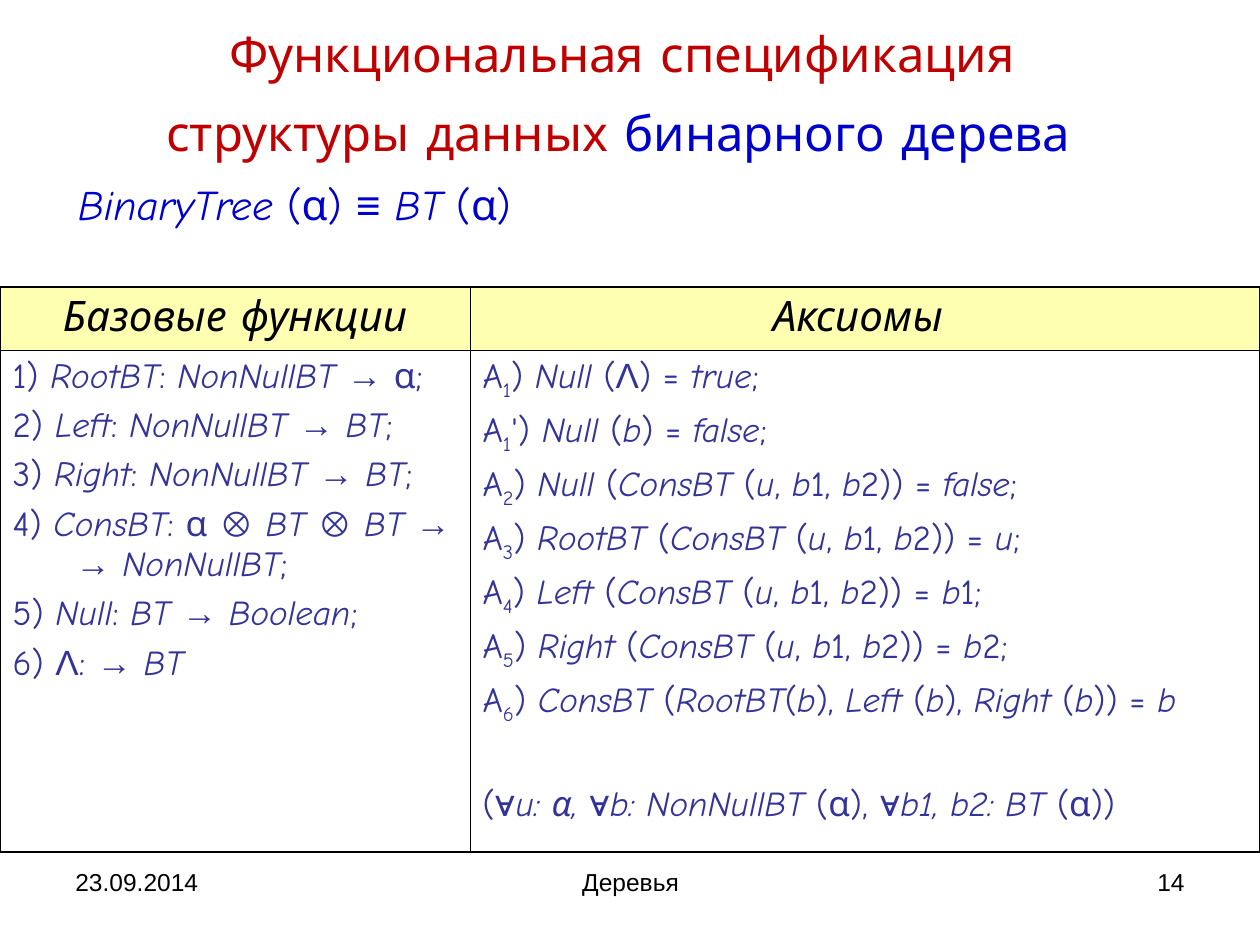
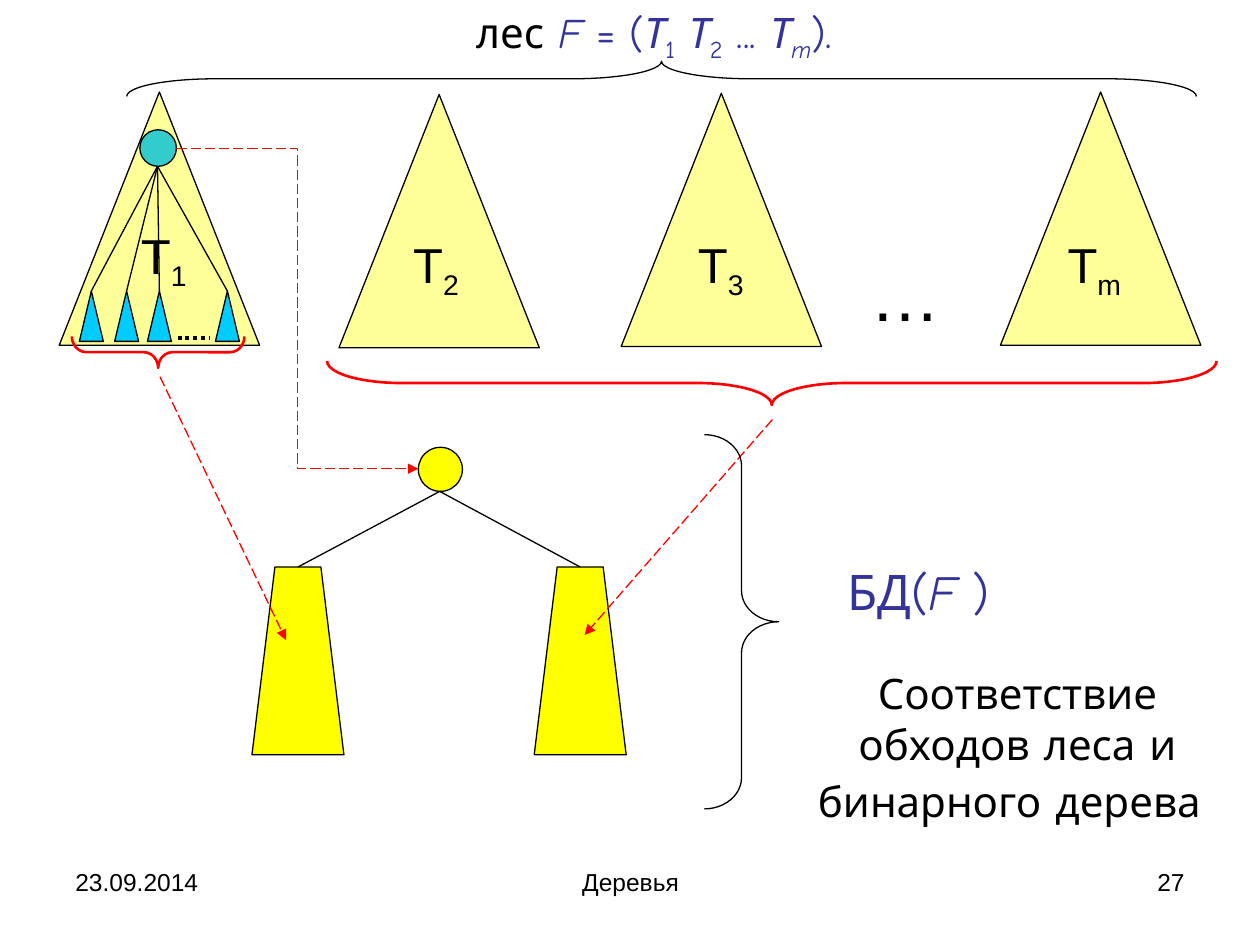
"""Builds two slides on binary trees: a specification table and a forest diagram."""
import itertools
from typing import NamedTuple, Optional

import lxml.etree
import pptx
import pptx.dml.color
import pptx.enum.dml
import pptx.enum.shapes
import pptx.enum.text
import pptx.oxml.ns
import pptx.util

SLIDE_WIDTH = pptx.util.Inches(10)
SLIDE_HEIGHT = pptx.util.Inches(7.5)
COLUMN = SLIDE_WIDTH // 100
ROW = SLIDE_HEIGHT // 75

COLORS = {
    "black": "000000", "title": "C00000", "accent": "0000CC", "formula": "333399",
    "header": "FFFF66", "tree": "FFFF99", "root": "33CCCC", "subtree": "00CCFF",
    "binary": "FFFF00", "link": "FF0000",
}
TEXT_FONT = "Comic Neue"
PLAIN_FONT = "Arial"
SYMBOLS = "→⊗Λ∀≡"
ITALIC_MARK, SUBSCRIPT_MARK = "*", "_"

SHAPES = pptx.enum.shapes.MSO_SHAPE
CONNECTORS = pptx.enum.shapes.MSO_CONNECTOR
DASHES = pptx.enum.dml.MSO_LINE
ALIGN = pptx.enum.text.PP_ALIGN
ANCHOR = pptx.enum.text.MSO_ANCHOR


class Frame(NamedTuple):
    """Place of an element in grid columns and rows."""
    left: float
    top: float
    width: float
    height: float

    def lengths(self) -> tuple[int, int, int, int]:
        """Return the frame in slide units."""
        return (round(self.left * COLUMN), round(self.top * ROW),
                round(self.width * COLUMN), round(self.height * ROW))


class Span(NamedTuple):
    """Marked-up text with one size, colour and font."""
    text: str
    size: float
    color: str
    font: str = TEXT_FONT


class Tree(NamedTuple):
    """A tree of the forest and the place of its label."""
    left: float
    top: float
    index: str
    label: Frame


class Brace(NamedTuple):
    """A right brace turned by an angle."""
    frame: Frame
    rotation: int
    color: str
    weight: float


class Link(NamedTuple):
    """A connector between two grid points."""
    start: tuple[float, float]
    end: tuple[float, float]
    color: str = "black"
    weight: float = 0.75
    dash: Optional[DASHES] = None
    arrow: bool = False
    kind: CONNECTORS = CONNECTORS.STRAIGHT


FOOTERS = [
    (Frame(5, 68.3, 23.3, 5.2), "23.09.2014", ALIGN.LEFT),
    (Frame(34.2, 68.3, 31.7, 5.2), "Деревья", ALIGN.CENTER),
]
NUMBER_FRAME = Frame(71.7, 68.3, 23.3, 5.2)

BASE_FUNCTIONS = [
    "1) *RootBT*: *NonNullBT* → α;",
    "2) *Left*: *NonNullBT* → *BT*;",
    "3) *Right*: *NonNullBT* → *BT*;",
    "4) *ConsBT*: α ⊗ *BT* ⊗ *BT* →\n\t→ *NonNullBT*;",
    "5) *Null*: *BT* → *Boolean*;",
    "6) Λ: → *BT*",
]
CONS = "(*ConsBT* (*u*, *b*1, *b*2)) ="
AXIOMS = [
    "A_1_) *Null* (Λ) = *true*;",
    "A_1_') *Null* (*b*) = *false*;",
    f"A_2_) *Null* {CONS} *false*;",
    f"A_3_) *RootBT* {CONS} *u*;",
    f"A_4_) *Left* {CONS} *b*1;",
    f"A_5_) *Right* {CONS} *b*2;",
    "A_6_) *ConsBT* (*RootBT*(*b*), *Left* (*b*), *Right* (*b*)) = *b*",
    "(∀*u: α, *∀*b: NonNullBT *(α), ∀*b1, b2: BT *(α))",
]

TREE_WIDTH, TREE_HEIGHT = 15.9, 20.1
TREES = [
    Tree(4.7, 7.3, "1", Frame(9.8, 17.4, 6.4, 6.3)),
    Tree(26.9, 7.5, "2", Frame(31.4, 18.1, 6.4, 6.3)),
    Tree(49.3, 7.4, "3", Frame(54, 18.1, 6.4, 6.3)),
    Tree(79.4, 7.3, "m", Frame(83, 18.1, 7.7, 6.3)),
]
SUBTREE_LEFTS = [6.3, 9.1, 11.7, 17.1]
SUBTREE_TOP, SUBTREE_WIDTH, SUBTREE_HEIGHT = 23.1, 1.9, 4
FOREST_ROOT = Frame(11.1, 10.3, 2.9, 2.9)
BINARY_ROOT = Frame(33.2, 35.5, 3.5, 3.5)
BINARY_SUBTREES = [Frame(20, 45, 7.3, 14.9), Frame(42.4, 45, 7.3, 14.9)]
BRACES = [
    Brace(Frame(11.3, 21.1, 2.5, 13.7), 90, "link", 1.5),
    Brace(Frame(59.5, -4.9, 3.5, 70.6), 90, "link", 1.5),
    Brace(Frame(51.1, -36.2, 2.8, 84.9), 270, "black", 0.75),
    Brace(Frame(55.9, 34.5, 5.9, 29.7), 0, "black", 0.75),
]


def rgb(color: str) -> pptx.dml.color.RGBColor:
    """Look up a named colour."""
    return pptx.dml.color.RGBColor.from_string(COLORS[color])


def add_span(paragraph, span: Span) -> None:
    """Add the runs of a marked-up span to a paragraph."""
    italic = subscript = False
    styled = []
    for letter in span.text:
        if letter == ITALIC_MARK:
            italic = not italic
        elif letter == SUBSCRIPT_MARK:
            subscript = not subscript
        else:
            styled.append((letter, (italic, subscript, letter in SYMBOLS, letter == "\n")))
    for style, group in itertools.groupby(styled, key=lambda item: item[1]):
        run_italic, run_subscript, symbol, line_break = style
        if line_break:
            paragraph.add_line_break()
            continue
        run = paragraph.add_run()
        run.text = "".join(letter for letter, _ in group)
        run.font.size = pptx.util.Pt(span.size)
        run.font.name = PLAIN_FONT if symbol else span.font
        run.font.italic = run_italic
        run.font.color.rgb = rgb(span.color)
        if run_subscript:
            run.font._element.set("baseline", "-25000")


def fill_text(text_frame, paragraphs: list[list[Span]], alignment=ALIGN.LEFT) -> None:
    """Write paragraphs of spans into a text frame."""
    for index, spans in enumerate(paragraphs):
        paragraph = text_frame.add_paragraph() if index else text_frame.paragraphs[0]
        paragraph.alignment = alignment
        if index:
            paragraph.space_before = pptx.util.Pt(5)
        for span in spans:
            add_span(paragraph, span)


def add_text(slide, frame: Frame, spans: list[Span], alignment=ALIGN.CENTER, anchor=ANCHOR.TOP) -> None:
    """Add a wrapped text box with one paragraph."""
    text_frame = slide.shapes.add_textbox(*frame.lengths()).text_frame
    text_frame.word_wrap = True
    text_frame.vertical_anchor = anchor
    fill_text(text_frame, [spans], alignment)


def add_figure(slide, kind: SHAPES, frame: Frame, fill: Optional[str], line: str = "black", weight: float = 0.75):
    """Add an outlined preset shape."""
    shape = slide.shapes.add_shape(kind, *frame.lengths())
    shape.shadow.inherit = False
    if fill:
        shape.fill.solid()
        shape.fill.fore_color.rgb = rgb(fill)
    else:
        shape.fill.background()
    shape.line.color.rgb = rgb(line)
    shape.line.width = pptx.util.Pt(weight)
    return shape


def add_brace(slide, brace: Brace) -> None:
    """Add a brace whose curves take a twelfth of its length."""
    shape = add_figure(slide, SHAPES.RIGHT_BRACE, brace.frame, None, brace.color, brace.weight)
    shape.adjustments[0] = brace.frame.height / 12 / brace.frame.width
    shape.rotation = brace.rotation


def add_link(slide, link: Link) -> None:
    """Add a connector, dashed or with an arrowhead if asked."""
    (start_x, start_y), (end_x, end_y) = link.start, link.end
    connector = slide.shapes.add_connector(
        link.kind, round(start_x * COLUMN), round(start_y * ROW), round(end_x * COLUMN), round(end_y * ROW))
    connector.line.color.rgb = rgb(link.color)
    connector.line.width = pptx.util.Pt(link.weight)
    if link.dash:
        connector.line.dash_style = link.dash
    properties = connector._element.spPr
    if link.arrow:
        outline = properties.find(pptx.oxml.ns.qn("a:ln"))
        lxml.etree.SubElement(outline, pptx.oxml.ns.qn("a:tailEnd"), type="triangle")
    lxml.etree.SubElement(properties, pptx.oxml.ns.qn("a:effectLst"))


def set_borders(cell, outer_sides: str) -> None:
    """Draw cell borders, thicker on the outer sides."""
    properties = cell._tc.get_or_add_tcPr()
    for side in "LRTB":
        width = pptx.util.Pt(1.08 if side in outer_sides else 0.45)
        border = lxml.etree.SubElement(properties, pptx.oxml.ns.qn(f"a:ln{side}"), w=str(int(width)))
        solid = lxml.etree.SubElement(border, pptx.oxml.ns.qn("a:solidFill"))
        lxml.etree.SubElement(solid, pptx.oxml.ns.qn("a:srgbClr"), val=COLORS["black"])


def add_slide(presentation, number: str):
    """Add a blank slide with the shared footer."""
    slide = presentation.slides.add_slide(presentation.slide_layouts[6])
    for frame, text, alignment in [*FOOTERS, (NUMBER_FRAME, number, ALIGN.RIGHT)]:
        add_text(slide, frame, [Span(text, 14, "black", PLAIN_FONT)], alignment)
    return slide


def add_specification_table(slide) -> None:
    """Add the table of base functions and axioms."""
    table = slide.shapes.add_table(2, 2, *Frame(0, 22.8, 100, 44.8).lengths()).table
    table.first_row = table.horz_banding = False
    for column, width in zip(table.columns, (37.3, 62.7)):
        column.width = round(width * COLUMN)
    for row, height in zip(table.rows, (5, 39.8)):
        row.height = round(height * ROW)
    contents = [("Базовые функции", BASE_FUNCTIONS, "L"), ("Аксиомы ", AXIOMS, "R")]
    for index, (heading, lines, side) in enumerate(contents):
        header, body = table.cell(0, index), table.cell(1, index)
        set_borders(header, side + "T")
        header.fill.solid()
        header.fill.fore_color.rgb = rgb("header")
        fill_color = header._tc.tcPr.find(pptx.oxml.ns.qn("a:solidFill"))[0]
        lxml.etree.SubElement(fill_color, pptx.oxml.ns.qn("a:alpha"), val="50000")
        fill_text(header.text_frame, [[Span(f"*{heading}*", 24, "black")]], ALIGN.CENTER)
        set_borders(body, side + "B")
        body.fill.background()
        fill_text(body.text_frame, [[Span(line, 20, "formula")] for line in lines])
    table.cell(1, 1).text_frame.paragraphs[-1].space_before = pptx.util.Pt(33)


def build_specification(presentation) -> None:
    """Build the slide with the functional specification."""
    slide = add_slide(presentation, "14")
    add_text(slide, Frame(5, 1.8, 90, 11.4), [
        Span("Функциональная спецификация \nструктуры данных ", 28, "title"),
        Span("бинарного дерева", 28, "accent"), Span(" ", 40, "accent")], anchor=ANCHOR.MIDDLE)
    add_text(slide, Frame(5.2, 13.7, 93, 6.7),
             [Span("*BinaryTree* (α) ≡ *BT* (α)", 24, "accent")], ALIGN.LEFT)
    add_specification_table(slide)


def build_forest(presentation) -> None:
    """Build the slide that maps a forest to a binary tree."""
    slide = add_slide(presentation, "27")
    for tree in TREES:
        add_figure(slide, SHAPES.ISOSCELES_TRIANGLE, Frame(tree.left, tree.top, TREE_WIDTH, TREE_HEIGHT), "tree")
        add_text(slide, tree.label, [Span(f"Т_{tree.index}_", 28, "black", PLAIN_FONT)])
    add_text(slide, Frame(66.3, 19.5, 11.2, 7.7), [Span("…", 40, "black", PLAIN_FONT)])

    add_figure(slide, SHAPES.OVAL, FOREST_ROOT, "root")
    links = [Link((14.1, 26.8), (16.7, 26.8), weight=2.25, dash=DASHES.ROUND_DOT)]
    for left in SUBTREE_LEFTS:
        frame = Frame(left, SUBTREE_TOP, SUBTREE_WIDTH, SUBTREE_HEIGHT)
        add_figure(slide, SHAPES.ISOSCELES_TRIANGLE, frame, "subtree")
        links.append(Link((12.5, 13.2), (left + SUBTREE_WIDTH / 2, SUBTREE_TOP)))

    add_figure(slide, SHAPES.OVAL, BINARY_ROOT, "binary")
    for frame in BINARY_SUBTREES:
        add_figure(slide, SHAPES.TRAPEZOID, frame, "binary").adjustments[0] = 0.25
        links.append(Link((34.9, 39), (frame.left + frame.width / 2, frame.top)))

    dashed = {"color": "link", "dash": DASHES.LONG_DASH, "arrow": True}
    links += [
        Link((14, 11.8), (33.2, 37.2), kind=CONNECTORS.ELBOW, **dashed),
        Link((12.7, 29.9), (22.7, 50.8), **dashed),
        Link((61.3, 33.3), (46.4, 50.4), **dashed),
    ]
    for link in links:
        add_link(slide, link)
    for brace in BRACES:
        add_brace(slide, brace)

    add_text(slide, Frame(27.8, 0, 48.2, 5.6), [
        Span("лес ", 24, "black"), Span("*F* = (*Т*_1_ *Т*_2_ ... *Т_m_*).", 24, "formula")])
    add_text(slide, Frame(62.7, 44.1, 20.4, 5.7), [Span("БД(*F *)", 28, "formula")])
    add_text(slide, Frame(61.5, 52.5, 38.5, 9.7), [
        Span("Соответствие обходов леса и бинарного дерева", 24, "black"), Span(" ", 28, "black")])


def main() -> None:
    """Build and save the presentation."""
    presentation = pptx.Presentation()
    presentation.slide_width = SLIDE_WIDTH
    presentation.slide_height = SLIDE_HEIGHT
    build_specification(presentation)
    build_forest(presentation)
    presentation.save("out.pptx")


if __name__ == "__main__":
    main()
